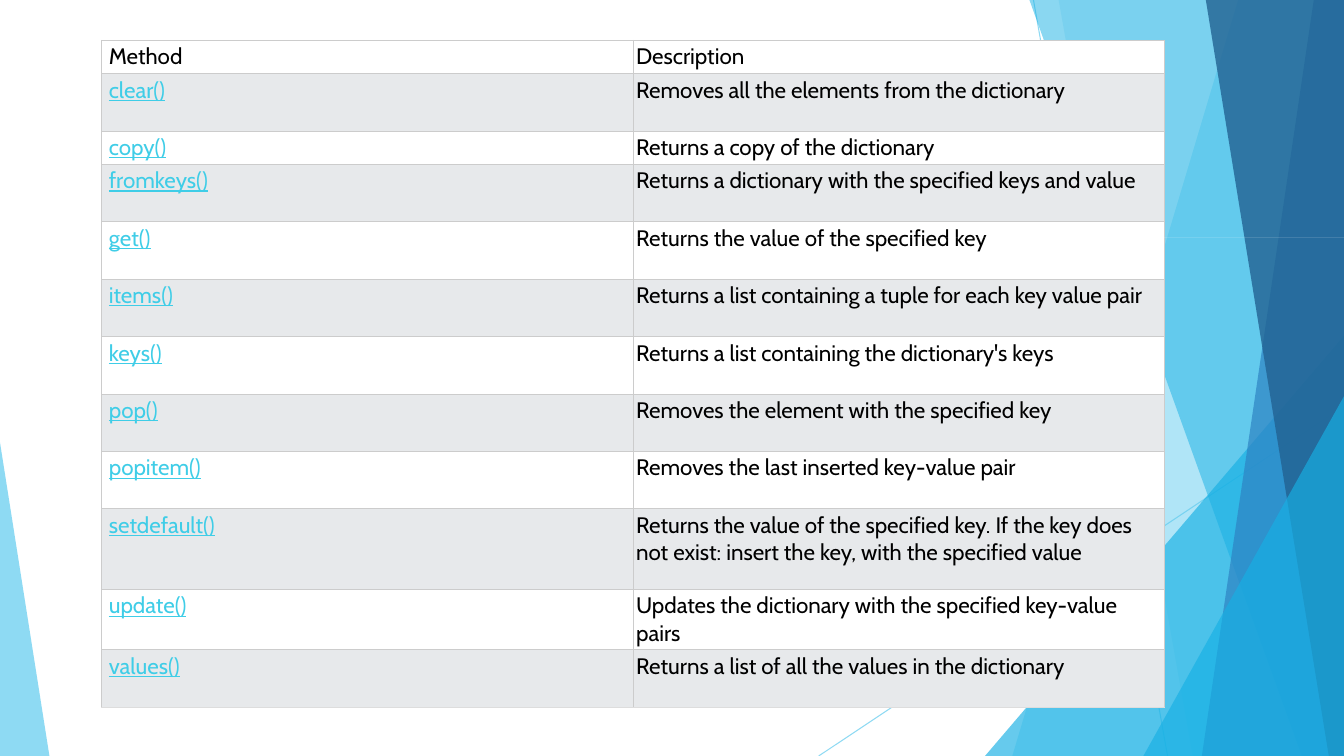
from dataclasses import dataclass

from lxml import etree
from pptx import Presentation
from pptx import util as u
from pptx.dml.color import RGBColor
from pptx.enum import shapes, text
from pptx.oxml import ns

WIDE, HIGH = 13.33, 7.5
SKY, AQUA, WHITE, GRAY = "5FCBEF", "17B0E4", "FFFFFF", "E7E9EB"
BLACK, LINK, GRID, BASE = "000000", "3FCDE7", "CCCCCC", "DDDDDD"
SHORT, TALL, LONG = 0.33, 0.57, 0.8


@dataclass
class Ray:
    start: tuple[float, float]
    end: tuple[float, float]


@dataclass
class Band:
    top: float
    foot: float
    hue: str
    alpha: int


@dataclass
class Wedge:
    left: float
    top: float
    width: float
    peak: float
    hue: str
    alpha: int


@dataclass
class Entry:
    name: str
    about: str
    height: float = TALL


RAYS = [Ray((10.25, 0), (11.58, HIGH)), Ray((WIDE, 4.03), (8.12, HIGH))]
SHARDS = [
    Band(12.28, 10.04, SKY, 36),
    Band(10.5, 11.83, SKY, 20),
    Wedge(9.77, 3.33, 3.56, 1, AQUA, 66),
    Band(10.21, 12.91, AQUA, 50),
    Band(13.03, 11.92, "2E83C3", 70),
    Band(11.96, 13.18, "226292", 80),
    Wedge(11.34, 3.93, 1.99, 1, AQUA, 66),
    Wedge(0, 4.39, 0.49, 0, SKY, 70),
]
ROWS = [
    Entry("Method", "Description", SHORT),
    Entry("clear()", "Removes all the elements from the dictionary"),
    Entry("copy()", "Returns a copy of the dictionary", SHORT),
    Entry("fromkeys()", "Returns a dictionary with the specified keys and value"),
    Entry("get()", "Returns the value of the specified key"),
    Entry("items()", "Returns a list containing a tuple for each key value pair"),
    Entry("keys()", "Returns a list containing the dictionary's keys"),
    Entry("pop()", "Removes the element with the specified key"),
    Entry("popitem()", "Removes the last inserted key-value pair"),
    Entry("setdefault()", "Returns the value of the specified key. If the key does "
          "not exist: insert the key, with the specified value", LONG),
    Entry("update()", "Updates the dictionary with the specified key-value pairs"),
    Entry("values()", "Returns a list of all the values in the dictionary"),
]


def paint(fill, hue: str, alpha: int = 100) -> None:
    fill.solid()
    fill.fore_color.rgb = RGBColor.from_string(hue)
    if alpha < 100:
        for tone in fill._xPr.iter(ns.qn("a:srgbClr")):
            etree.SubElement(tone, ns.qn("a:alpha"), val=str(alpha * 1000))


def finish(shape, hue: str, alpha: int = 100) -> None:
    shape.shadow.inherit = False
    shape.line.fill.background()
    paint(shape.fill, hue, alpha)


def draw_ray(slide, ray: Ray) -> None:
    ends = [u.Inches(n) for n in ray.start + ray.end]
    line = slide.shapes.add_connector(shapes.MSO_CONNECTOR.STRAIGHT, *ends)
    line.line.width = u.Pt(0.75)
    paint(line.line.fill, SKY, 70)
    etree.SubElement(line._element.spPr, ns.qn("a:effectLst"))


def draw_band(slide, band: Band) -> None:
    spots = [(band.top, 0), (WIDE, 0), (WIDE, HIGH), (band.foot, HIGH)]
    first, *rest = [(u.Inches(x), u.Inches(y)) for x, y in spots]
    form = slide.shapes.build_freeform(*first)
    form.add_line_segments(rest, close=True)
    finish(form.convert_to_shape(), band.hue, band.alpha)


def draw_wedge(slide, wedge: Wedge) -> None:
    shape = slide.shapes.add_shape(
        shapes.MSO_SHAPE.ISOSCELES_TRIANGLE, u.Inches(wedge.left), u.Inches(wedge.top),
        u.Inches(wedge.width), u.Inches(HIGH - wedge.top))
    shape.adjustments[0] = wedge.peak
    finish(shape, wedge.hue, wedge.alpha)


def edge(cell, side: str, hue: str) -> None:
    line = etree.SubElement(cell._tc.get_or_add_tcPr(), ns.qn("a:ln" + side),
                            w=str(u.Pt(0.6)))
    fill = etree.SubElement(line, ns.qn("a:solidFill"))
    etree.SubElement(fill, ns.qn("a:srgbClr"), val=hue)


def fill_cell(cell, words: str, back: str, inset: float, link: bool, last: bool) -> None:
    for side in "LRTB":
        edge(cell, side, BASE if last and side == "B" else GRID)
    paint(cell.fill, back)
    cell.margin_left = u.Inches(inset)
    cell.margin_right = cell.margin_top = cell.margin_bottom = u.Inches(0.03)
    cell.vertical_anchor = text.MSO_ANCHOR.TOP
    run = cell.text_frame.paragraphs[0].add_run()
    run.text = words
    run.font.name = "Cabin"
    run.font.size = u.Pt(16)
    run.font.underline = link
    paint(run.font.fill, LINK if link else BLACK)


def draw_table(slide, rows: list[Entry]) -> None:
    high = sum(row.height for row in rows)
    table = slide.shapes.add_table(len(rows), 2, u.Inches(1.01), u.Inches(0.4),
                                   u.Inches(10.54), u.Inches(high)).table
    table.first_row = table.horz_banding = False
    for col in table.columns:
        col.width = u.Inches(5.27)
    for i, row in enumerate(rows):
        table.rows[i].height = u.Inches(row.height)
        back = GRAY if i % 2 else WHITE
        last = i == len(rows) - 1
        fill_cell(table.cell(i, 0), row.name, back, 0.07, i > 0, last)
        fill_cell(table.cell(i, 1), row.about, back, 0.03, False, last)


def main() -> None:
    deck = Presentation()
    deck.slide_width, deck.slide_height = u.Inches(WIDE), u.Inches(HIGH)
    slide = deck.slides.add_slide(deck.slide_layouts[6])
    paint(slide.background.fill, WHITE)
    for ray in RAYS:
        draw_ray(slide, ray)
    for shard in SHARDS:
        if isinstance(shard, Band):
            draw_band(slide, shard)
        else:
            draw_wedge(slide, shard)
    draw_table(slide, ROWS)
    strip = slide.shapes.add_shape(shapes.MSO_SHAPE.RECTANGLE, u.Inches(3.32),
                                   u.Inches(2.36), u.Inches(WIDE - 3.32), 0)
    finish(strip, WHITE)
    deck.save("out.pptx")


if __name__ == "__main__":
    main()
